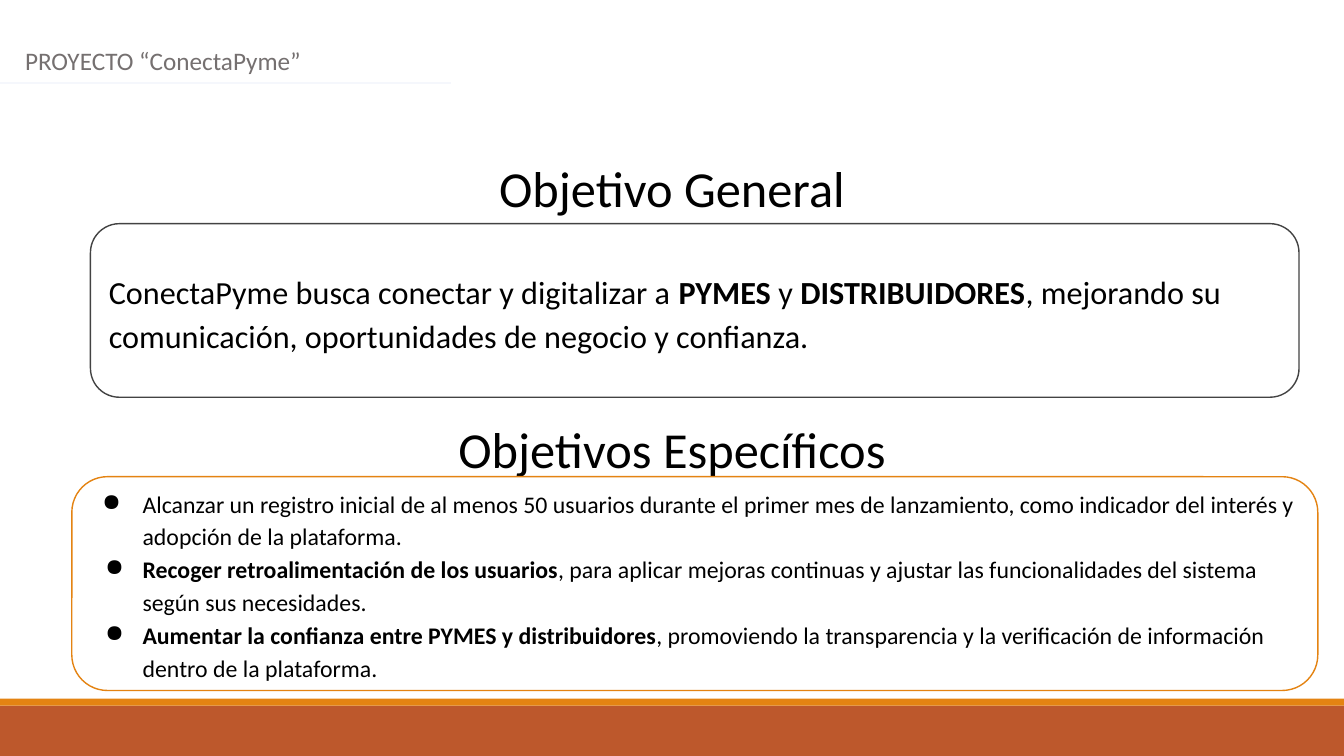
import pptx
import pptx.util
import pptx.dml.color
import pptx.enum.shapes
import pptx.enum.text
import pptx.oxml.ns
import lxml.etree
from dataclasses import dataclass

Pt = pptx.util.Pt
Shape = pptx.enum.shapes.MSO_SHAPE
Align = pptx.enum.text.PP_ALIGN
Anchor = pptx.enum.text.MSO_ANCHOR
Fit = pptx.enum.text.MSO_AUTO_SIZE
qn = pptx.oxml.ns.qn

# Content: a run is (text, bold)
LABEL = "PROYECTO “ConectaPyme”"
GENERAL = "Objetivo General"
SPECIFIC = "Objetivos Específicos"
GOAL = [
    ("ConectaPyme busca conectar y digitalizar a ", False),
    ("PYMES", True),
    (" y ", False),
    ("DISTRIBUIDORES", True),
    (", mejorando su comunicación, oportunidades de negocio y confianza.", False),
]
# Each aim: hanging indent, runs
AIMS = [
    (28.8, [("Alcanzar un registro inicial de al menos 50 usuarios durante el primer mes "
             "de lanzamiento, como indicador del interés y adopción de la plataforma.", False)]),
    (26.64, [("Recoger retroalimentación de los usuarios", True),
             (", para aplicar mejoras continuas y ajustar las funcionalidades del sistema "
              "según sus necesidades.", False)]),
    (26.64, [("Aumentar la confianza entre PYMES y distribuidores", True),
             (", promoviendo la transparencia y la verificación de información "
              "dentro de la plataforma.", False)]),
]


@dataclass(frozen=True)
class Theme:
    font: str = "Calibri"
    ink: str = "000000"
    gray: str = "757070"
    white: str = "FFFFFF"
    rule: str = "F5F7FC"
    frame: str = "434343"
    orange: str = "E48312"
    rust: str = "BD582C"
    label: float = 18
    title: float = 36
    goal: float = 23
    aim: float = 17


T = Theme()
W, H = 960, 540
FOOT, BAND = 36, 5
LEAD = 1.15
INDENT = 36


def rgb(code):
    return pptx.dml.color.RGBColor.from_string(code)


def style(para, size, color):
    para.font.name = T.font
    para.font.size = Pt(size)
    para.font.color.rgb = rgb(color)


def add_text(slide, text, left, top, height, size, color, align):
    box = slide.shapes.add_textbox(Pt(left), Pt(top), Pt(W), Pt(height))
    frame = box.text_frame
    frame.word_wrap = True
    frame.auto_size = Fit.SHAPE_TO_FIT_TEXT
    para = frame.paragraphs[0]
    para.text = text
    para.alignment = align
    style(para, size, color)


def add_box(slide, kind, left, top, width, height, fill, line=None):
    box = slide.shapes.add_shape(kind, Pt(left), Pt(top), Pt(width), Pt(height))
    box.shadow.inherit = False
    box.fill.solid()
    box.fill.fore_color.rgb = rgb(fill)
    if line:
        box.line.color.rgb = rgb(line)
        box.line.width = Pt(1)
    else:
        box.line.fill.background()
    return box


def add_card(slide, left, top, width, height, line):
    card = add_box(slide, Shape.ROUNDED_RECTANGLE, left, top, width, height, T.white, line)
    frame = card.text_frame
    frame.word_wrap = True
    frame.vertical_anchor = Anchor.MIDDLE
    return frame


def add_runs(para, runs, size):
    para.alignment = Align.LEFT
    para.line_spacing = LEAD
    style(para, size, T.ink)
    for text, bold in runs:
        run = para.add_run()
        run.text = text
        run.font.bold = bold


def add_bullet(para, hang):
    props = para._p.get_or_add_pPr()
    props.set("marL", str(Pt(INDENT)))
    props.set("indent", str(-Pt(hang)))
    tint = lxml.etree.Element(qn("a:buClr"))
    lxml.etree.SubElement(tint, qn("a:srgbClr"), val=T.ink)
    mark = lxml.etree.Element(qn("a:buChar"), char="●")
    # Bullet parts sit between the spacing and the default run properties
    spot = props.find(qn("a:defRPr"))
    for part in (tint, mark):
        spot.addprevious(part)


def main():
    deck = pptx.Presentation()
    deck.slide_width, deck.slide_height = Pt(W), Pt(H)
    slide = deck.slides.add_slide(deck.slide_layouts[6])

    # Footer bands
    add_box(slide, Shape.RECTANGLE, 0, H - FOOT, W, FOOT, T.rust)
    add_box(slide, Shape.RECTANGLE, 0, H - FOOT - BAND, W, BAND, T.orange)

    # Project label and rule
    add_text(slide, LABEL, 10.8, 28.8, 29, T.label, T.gray, Align.LEFT)
    rule = slide.shapes.add_connector(
        pptx.enum.shapes.MSO_CONNECTOR.STRAIGHT, Pt(0), Pt(59.5), Pt(322), Pt(59.5))
    rule.line.color.rgb = rgb(T.rule)
    rule.line.width = Pt(1.25)
    lxml.etree.SubElement(rule._element.spPr, qn("a:effectLst"))

    # Headings
    for text, top in ((GENERAL, 108.7), (SPECIFIC, 295)):
        add_text(slide, text, 0, top, 51, T.title, T.ink, Align.CENTER)

    # General goal
    frame = add_card(slide, 64.6, 159.8, 863.3, 124, T.frame)
    para = frame.paragraphs[0]
    add_runs(para, GOAL, T.goal)
    para.space_after = Pt(12)

    # Specific aims
    frame = add_card(slide, 51.3, 340.5, 890, 152.7, T.orange)
    for i, (hang, runs) in enumerate(AIMS):
        para = frame.add_paragraph() if i else frame.paragraphs[0]
        add_runs(para, runs, T.aim)
        add_bullet(para, hang)

    deck.save("out.pptx")


if __name__ == "__main__":
    main()
